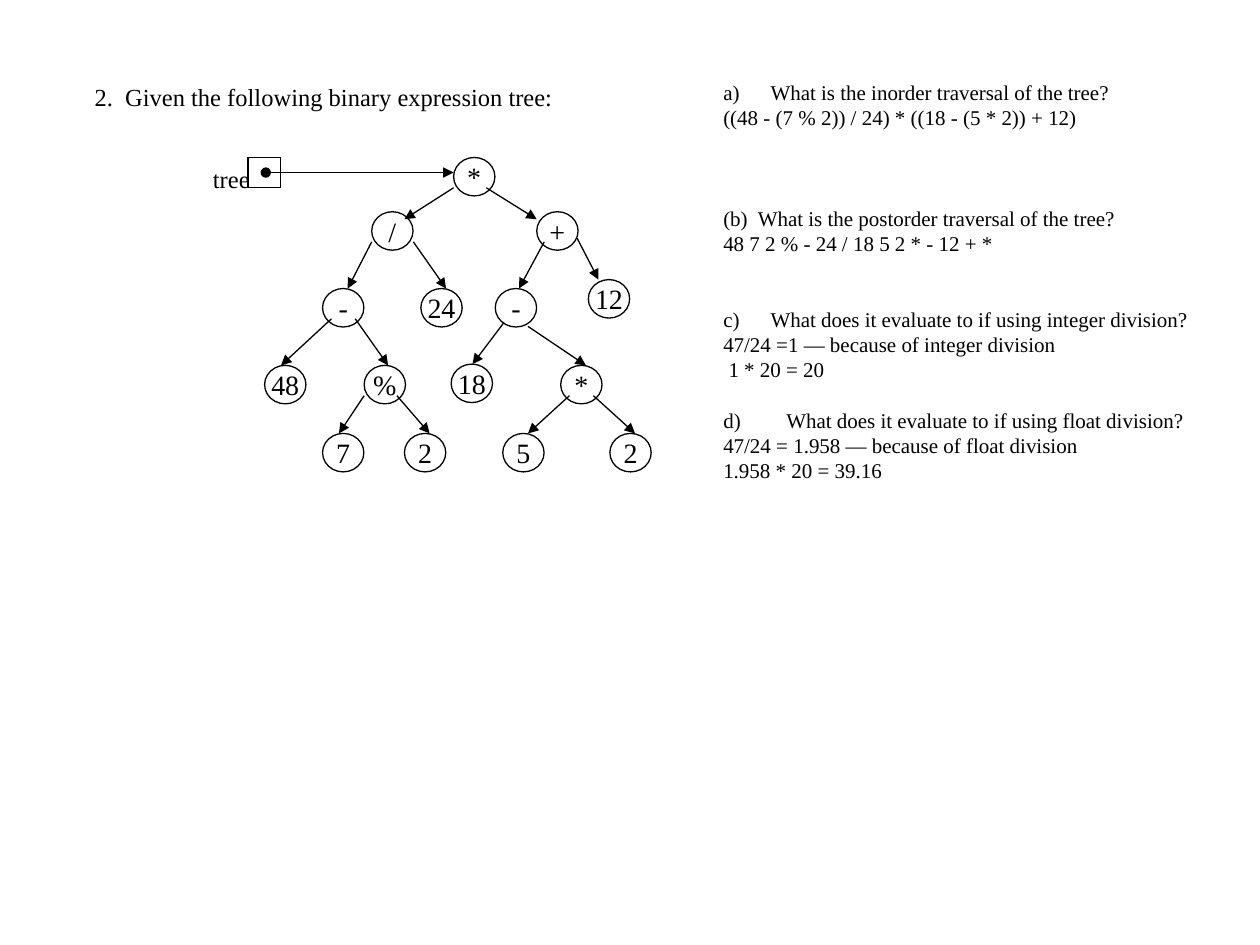
from lxml import etree
from pptx import Presentation
from pptx import util as u
from pptx.dml.color import RGBColor
from pptx.enum import shapes, text
from pptx.oxml.ns import qn

FONT = "Times New Roman"
BLACK = "000000"
NODE_WIDTH, NODE_HEIGHT = 23.6, 22
LINE_PITCH = 14.4
INSET = 3.6

# label, left, top, arrow from the parent (x1, y1, x2, y2)
NODES = [
    ("*", 259.2, 90, (151.9, 98.6, 259.2, 98.6)),
    ("/", 212.4, 121, (259.2, 107.3, 231.1, 125.3)),
    ("+", 306.7, 121, (277.9, 107.3, 306.7, 125.3)),
    ("-", 184.3, 164.9, (212.4, 138.2, 198.7, 164.9)),
    ("24", 240.5, 164.9, (236.2, 138.2, 254.9, 164.9)),
    ("-", 283, 164.9, (311, 138.2, 296.6, 164.9)),
    ("12", 336.2, 159.8, (329.8, 136.1, 342, 159.8)),
    ("48", 151.2, 208.8, (189.4, 182.2, 160.6, 208.8)),
    ("%", 208.1, 208.8, (203, 182.2, 221.8, 208.8)),
    ("18", 257.8, 208.1, (288, 184.3, 270, 208.1)),
    ("*", 320.4, 208.8, (301.7, 186.5, 334.8, 208.8)),
    ("7", 184.3, 247.7, (208.1, 226.1, 193.7, 247.7)),
    ("2", 231.1, 247.7, (226.8, 226.1, 245.5, 247.7)),
    ("5", 287.3, 247.7, (325.4, 226.1, 301.7, 247.7)),
    ("2", 348.5, 247.7, (339.1, 226.1, 362.9, 247.7)),
]

# wording, lines of space before, left margin, number in the a) b) c) list
ANSWERS = [
    ("What is the inorder traversal of the tree?", 0, 27, 1),
    ("((48 - (7 % 2)) / 24) * ((18 - (5 * 2)) + 12)", 0, 0, None),
    ("(b)  What is the postorder traversal of the tree?", 3, 0, None),
    ("48 7 2 % - 24 / 18 5 2 * - 12 + *", 0, 0, None),
    ("What does it evaluate to if using integer division?", 2, 27, 3),
    ("47/24 =1 — because of integer division", 0, 0, None),
    ("1 * 20 = 20", 0, 3, None),
    ("What does it evaluate to if using float division?", 1, 36, 4),
    ("47/24 = 1.958 — because of float division", 0, 0, None),
    ("1.958 * 20 = 39.16", 0, 0, None),
]


def color(hex_value):
    return RGBColor.from_string(hex_value)


def place(shape, left, top, width, height):
    shape.left, shape.top = u.Pt(left), u.Pt(top)
    shape.width, shape.height = u.Pt(width), u.Pt(height)


def format_frame(frame, inset=INSET, anchor=text.MSO_ANCHOR.TOP, wrap=True):
    frame.margin_left = frame.margin_right = u.Pt(inset)
    frame.margin_top = frame.margin_bottom = u.Pt(inset)
    frame.vertical_anchor = anchor
    frame.word_wrap = wrap
    frame.auto_size = text.MSO_AUTO_SIZE.NONE


def write(paragraph, words, size, align=text.PP_ALIGN.LEFT):
    paragraph.text = words
    paragraph.alignment = align
    paragraph.font.name = FONT
    paragraph.font.size = u.Pt(size)
    paragraph.font.color.rgb = color(BLACK)


def set_numbering(paragraph, margin, number):
    """Hang a lettered bullet in the margin, or switch bullets off."""
    properties = paragraph._p.get_or_add_pPr()
    properties.set("marL", str(u.Pt(margin)))
    properties.set("indent", str(-u.Pt(margin) if number else 0))
    if number:
        etree.SubElement(properties, qn("a:buFont"), typeface=FONT)
        etree.SubElement(properties, qn("a:buAutoNum"),
                         type="alphaLcParenR", startAt=str(number))
    else:
        etree.SubElement(properties, qn("a:buNone"))


def add_title(slide):
    title = slide.shapes.title
    place(title, 50.4, 43.2, 290, 24.5)
    format_frame(title.text_frame)
    write(title.text_frame.paragraphs[0],
          "2.  Given the following binary expression tree:", 14)


def add_answers(slide):
    body = slide.placeholders[1]
    place(body, 409.7, 41.8, 285.8, 266.4)
    frame = body.text_frame
    format_frame(frame)
    for index, (words, gap, margin, number) in enumerate(ANSWERS):
        paragraph = frame.add_paragraph() if index else frame.paragraphs[0]
        write(paragraph, words, 12)
        paragraph.line_spacing = u.Pt(LINE_PITCH)
        paragraph.space_before = u.Pt(gap * LINE_PITCH)
        set_numbering(paragraph, margin, number)


def add_outline(slide, kind, left, top, width, height):
    outline = slide.shapes.add_shape(kind, *map(u.Pt, (left, top, width, height)))
    outline.shadow.inherit = False
    outline.fill.background()
    outline.line.color.rgb = color(BLACK)
    outline.line.width = u.Pt(0.75)
    return outline


def add_node(slide, label, left, top):
    node = add_outline(slide, shapes.MSO_SHAPE.OVAL, left, top,
                       NODE_WIDTH, NODE_HEIGHT)
    format_frame(node.text_frame, 0, text.MSO_ANCHOR.MIDDLE, False)
    write(node.text_frame.paragraphs[0], label, 16, text.PP_ALIGN.CENTER)


def add_arrow(slide, ends, dot_at_start=False):
    arrow = slide.shapes.add_connector(shapes.MSO_CONNECTOR.STRAIGHT,
                                       *map(u.Pt, ends))
    arrow.line.color.rgb = color(BLACK)
    arrow.line.width = u.Pt(0.75)
    line = arrow.line._get_or_add_ln()
    if dot_at_start:
        etree.SubElement(line, qn("a:headEnd"), type="oval")
    etree.SubElement(line, qn("a:tailEnd"), type="triangle")
    etree.SubElement(arrow._element.spPr, qn("a:effectLst"))


def add_tree_pointer(slide):
    add_outline(slide, shapes.MSO_SHAPE.RECTANGLE, 141.8, 90, 18.7, 17.3)
    label = slide.shapes.add_textbox(*map(u.Pt, (118.1, 90, 28.1, 23.8)))
    format_frame(label.text_frame, wrap=False)
    write(label.text_frame.paragraphs[0], "tree", 14)


def main():
    deck = Presentation()
    deck.slide_width, deck.slide_height = u.Pt(720), u.Pt(540)
    slide = deck.slides.add_slide(deck.slide_layouts[1])
    add_title(slide)
    add_answers(slide)
    for label, left, top, _ in NODES:
        add_node(slide, label, left, top)
    add_tree_pointer(slide)
    for index, (*_, ends) in enumerate(NODES):
        add_arrow(slide, ends, dot_at_start=index == 0)
    deck.save("out.pptx")


if __name__ == "__main__":
    main()
